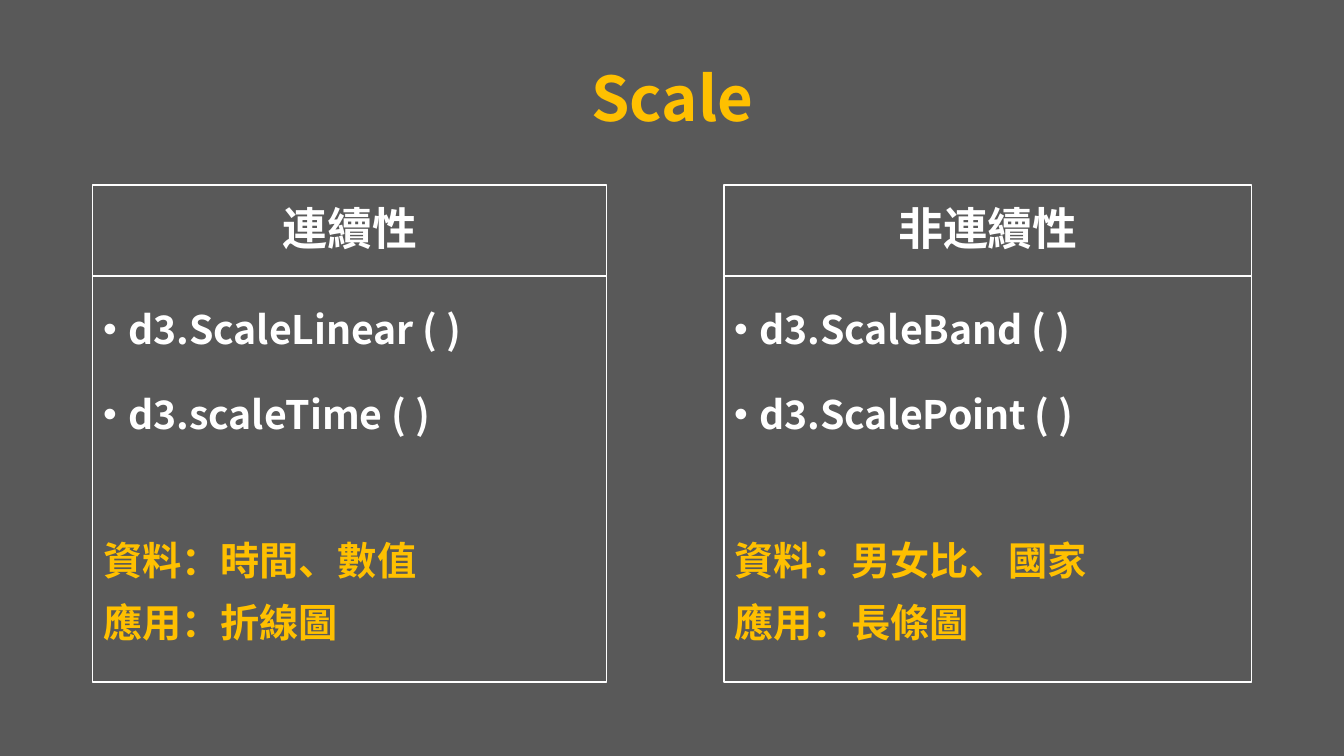
import pptx
import pptx.util
import pptx.dml.color
import pptx.enum.text
import pptx.oxml.ns
import lxml.etree

# Content
TITLE = "Scale"
COLS = [
    dict(left=93, width=514, head="連續性",
         calls=["d3.ScaleLinear ( )", "d3.scaleTime ( )"],
         notes=["資料：時間、數值", "應用：折線圖"]),
    dict(left=724, width=528, head="非連續性",
         calls=["d3.ScaleBand ( )", "d3.ScalePoint ( )"],
         notes=["資料：男女比、國家", "應用：長條圖"]),
]

# Layout in px, and formats
PX = 914400 / 100.8
TOP, MID, BASE = 185, 276, 682
FONT = "Noto Sans CJK SC"
GOLD, WHITE, GREY = "FFC000", "FFFFFF", "595959"
INDENT = 25
Pt = pptx.util.Pt
ALIGN = pptx.enum.text.PP_ALIGN
ANCHOR = pptx.enum.text.MSO_ANCHOR
CENTER = dict(alignment=ALIGN.CENTER, line_spacing=0.9, space_before=Pt(0))
CALL = dict(alignment=ALIGN.LEFT, line_spacing=Pt(51), space_before=Pt(10))
NOTE = dict(alignment=ALIGN.LEFT, line_spacing=Pt(34), space_before=Pt(10))
FIRST = CALL | dict(space_before=Pt(0))
APART = NOTE | dict(space_before=Pt(70))


def emu(px):
    return round(px * PX)


def color(text):
    return pptx.dml.color.RGBColor.from_string(text)


def put(item, values):
    for name, value in values.items():
        setattr(item, name, value)


def add_sub(node, tag, **attrs):
    return lxml.etree.SubElement(node, pptx.oxml.ns.qn(tag), **attrs)


def fill_box(box, left, top, width, height, anchor, lines):
    """Each line is (text, size, hex, format, bullet)."""
    put(box, dict(left=emu(left), top=emu(top),
                  width=emu(width), height=emu(height)))
    frame = box.text_frame
    put(frame, dict(word_wrap=True, vertical_anchor=anchor,
                    auto_size=pptx.enum.text.MSO_AUTO_SIZE.NONE))
    for i, (text, size, tint, form, dot) in enumerate(lines):
        para = frame.add_paragraph() if i else frame.paragraphs[0]
        put(para, form | dict(space_after=Pt(0)))
        props = para._p.get_or_add_pPr()
        inset = emu(INDENT) if dot else 0
        props.set("marL", str(inset))
        props.set("indent", str(-inset))
        if dot:
            add_sub(props, "a:buFont", typeface="Arial")
            add_sub(props, "a:buChar", char="•")
        else:
            add_sub(props, "a:buNone")
        run = para.add_run()
        run.text = text
        put(run.font, dict(size=Pt(size), bold=True, name=FONT))
        run.font.color.rgb = color(tint)
        add_sub(run._r.get_or_add_rPr(), "a:ea", typeface=FONT)


def frame_box(box):
    box.line.color.rgb = color(WHITE)
    box.line.width = Pt(0.75)


def main():
    deck = pptx.Presentation()
    put(deck, dict(slide_width=emu(1344), slide_height=emu(756)))
    slide = deck.slides.add_slide(deck.slide_layouts[4])
    back = slide.background.fill
    back.solid()
    back.fore_color.rgb = color(GREY)

    # Title
    title, *boxes = slide.placeholders
    fill_box(title, 93, 40, 1159, 123, ANCHOR.MIDDLE,
             [(TITLE, 44, GOLD, CENTER, False)])

    # Two columns, each a head over a list
    for col, head, body in zip(COLS, boxes[::2], boxes[1::2]):
        left, width = col["left"], col["width"]
        fill_box(head, left, TOP, width, MID - TOP, ANCHOR.MIDDLE,
                 [(col["head"], 32, WHITE, CENTER, False)])
        lines = [(text, 28, WHITE, form, True)
                 for text, form in zip(col["calls"], (FIRST, CALL))]
        lines += [(text, 28, GOLD, form, False)
                  for text, form in zip(col["notes"], (APART, NOTE))]
        fill_box(body, left, MID, width, BASE - MID, ANCHOR.TOP, lines)
        frame_box(head)
        frame_box(body)

    deck.save("out.pptx")


if __name__ == "__main__":
    main()
